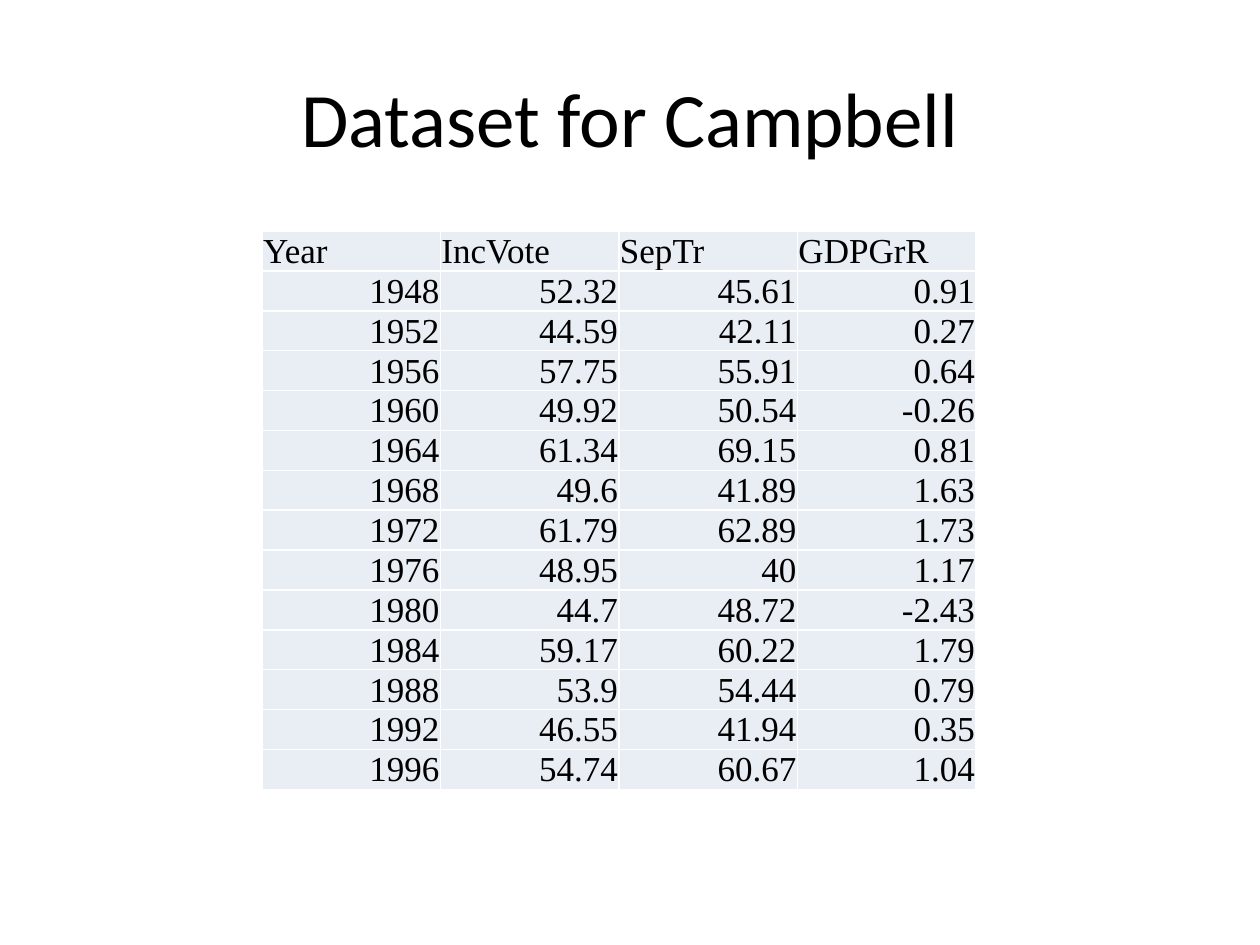
"""Build a slide with a titled table of election-year figures."""
import pptx
import pptx.dml.color
import pptx.enum.text
import pptx.oxml
import pptx.oxml.ns
import pptx.util

TITLE = "Dataset for Campbell"
HEADER = ("Year", "IncVote", "SepTr", "GDPGrR")
DATA = [
    ("1948", "52.32", "45.61", "0.91"),
    ("1952", "44.59", "42.11", "0.27"),
    ("1956", "57.75", "55.91", "0.64"),
    ("1960", "49.92", "50.54", "-0.26"),
    ("1964", "61.34", "69.15", "0.81"),
    ("1968", "49.6", "41.89", "1.63"),
    ("1972", "61.79", "62.89", "1.73"),
    ("1976", "48.95", "40", "1.17"),
    ("1980", "44.7", "48.72", "-2.43"),
    ("1984", "59.17", "60.22", "1.79"),
    ("1988", "53.9", "54.44", "0.79"),
    ("1992", "46.55", "41.94", "0.35"),
    ("1996", "54.74", "60.67", "1.04"),
]
ROWS = [HEADER] + DATA

BLACK = pptx.dml.color.RGBColor(0x00, 0x00, 0x00)
WHITE = pptx.dml.color.RGBColor(0xFF, 0xFF, 0xFF)
PALE_BLUE = pptx.dml.color.RGBColor(0xE9, 0xED, 0xF4)
ALIGN = pptx.enum.text.PP_ALIGN
ANCHOR = pptx.enum.text.MSO_ANCHOR
EMU_PER_PX = 914400 / 126


def px(n):
    return pptx.util.Emu(round(n * EMU_PER_PX))


TITLE_BOX = {"left": px(63), "top": px(38), "width": px(1134), "height": px(158)}
TITLE_FONT = {"name": "Calibri", "size": pptx.util.Pt(44)}
CELL_FONT = {"name": "Times New Roman", "size": pptx.util.Pt(20), "bold": False}
CELL_FORMAT = {
    "margin_left": px(1), "margin_top": px(1), "margin_right": px(1),
    "margin_bottom": px(0), "vertical_anchor": ANCHOR.BOTTOM,
}
ROW_HEIGHT = 34


def set_all(obj, values):
    for name, value in values.items():
        setattr(obj, name, value)


def write(p, text, font, align):
    p.alignment = align
    r = p.add_run()
    r.text = text
    set_all(r.font, font)
    r.font.color.rgb = BLACK


def set_borders(cell, color, width):
    tcPr = cell._tc.get_or_add_tcPr()
    for i, side in enumerate(("lnL", "lnR", "lnT", "lnB")):
        tcPr.insert(i, pptx.oxml.parse_xml(
            f'<a:{side} {pptx.oxml.ns.nsdecls("a")} w="{width}"><a:solidFill>'
            f'<a:srgbClr val="{color}"/></a:solidFill></a:{side}>'))


prs = pptx.Presentation()
prs.slide_width, prs.slide_height = px(1260), px(945)
slide = prs.slides.add_slide(prs.slide_layouts[5])

sp = slide.shapes.title
set_all(sp, TITLE_BOX)
tf = sp.text_frame
tf.vertical_anchor = ANCHOR.MIDDLE
write(tf.paragraphs[0], TITLE, TITLE_FONT, ALIGN.CENTER)

frame = slide.shapes.add_table(
    len(ROWS), len(HEADER), px(262), px(231), px(714), px(ROW_HEIGHT * len(ROWS)))
frame.height = px(606)
table = frame.table
set_all(table, {"first_row": False, "horz_banding": False})
for i, row in enumerate(ROWS):
    for j, text in enumerate(row):
        cell = table.cell(i, j)
        set_all(cell, CELL_FORMAT)
        cell.fill.solid()
        cell.fill.fore_color.rgb = PALE_BLUE
        set_borders(cell, WHITE, pptx.util.Pt(1))
        write(cell.text_frame.paragraphs[0], text, CELL_FONT,
              ALIGN.RIGHT if i else ALIGN.LEFT)

prs.save("out.pptx")
